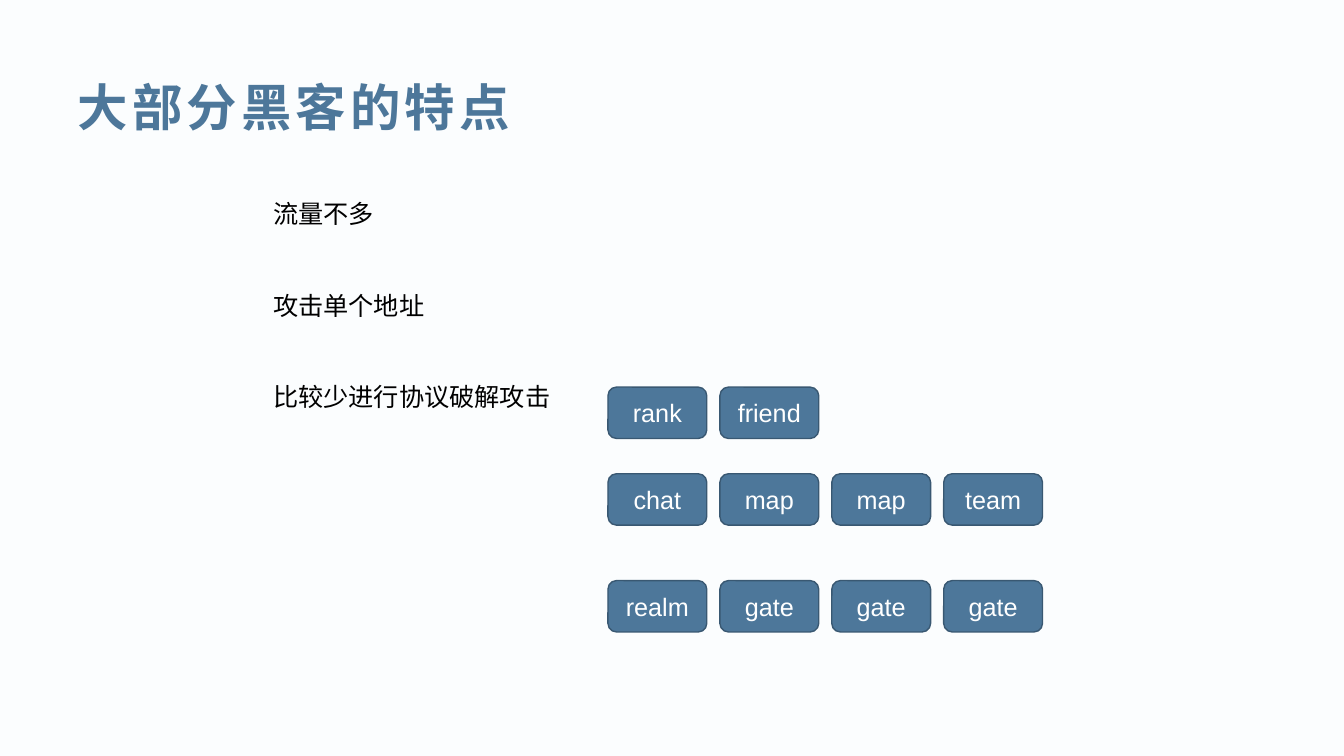
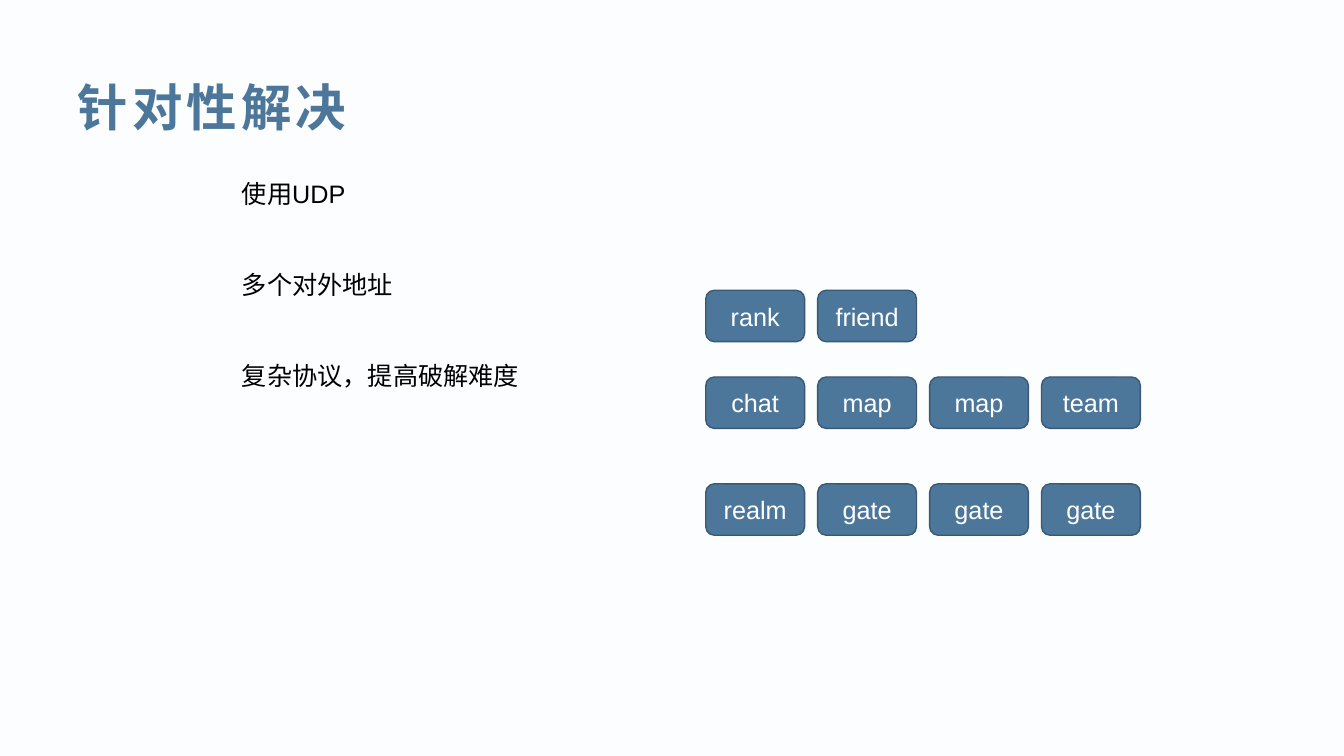
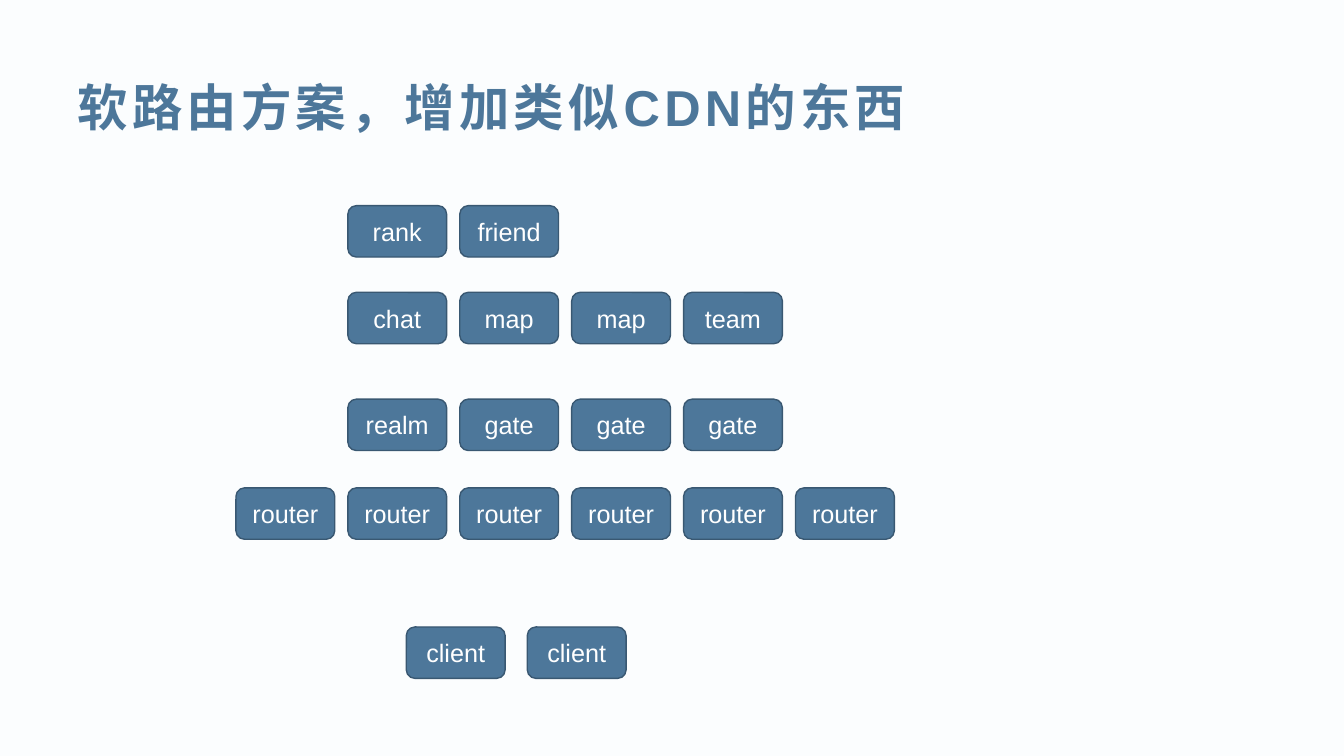
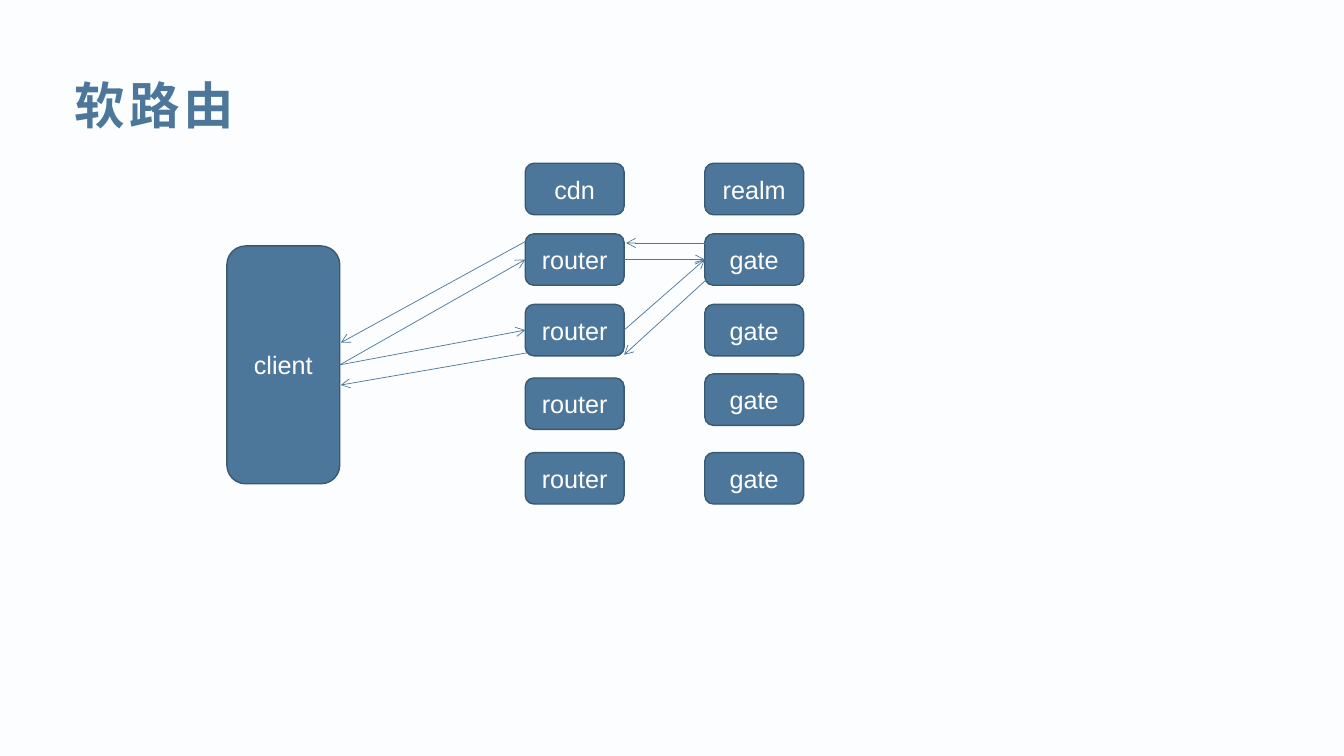
from pptx import Presentation
from pptx.dml.color import RGBColor
from pptx.enum.shapes import MSO_CONNECTOR, MSO_SHAPE
from pptx.enum.text import MSO_ANCHOR, PP_ALIGN
from pptx.oxml.ns import qn
from pptx.util import Inches, Pt
from lxml.etree import SubElement

# Shared colours, type styles and grid (inches)
BACKGROUND = RGBColor(0xFB, 0xFD, 0xFE)
BLUE = RGBColor(0x4D, 0x77, 0x9A)
DARK_BLUE = RGBColor(0x39, 0x58, 0x72)
WHITE = RGBColor(0xFF, 0xFF, 0xFF)
BLACK = RGBColor(0x00, 0x00, 0x00)
TITLE = {"name": "Arial", "size": Pt(36), "bold": True}
BODY = {"name": "Arial", "size": Pt(18)}
BOX_W, BOX_H = 0.98, 0.51
COLUMN = 1.11
LINE = 21.7

prs = Presentation()
prs.slide_width, prs.slide_height = Inches(13.33), Inches(7.5)
background = prs.slide_master.background.fill
background.solid()
background.fore_color.rgb = BACKGROUND


def add_run(paragraph, text, style, color):
    run = paragraph.add_run()
    run.text = text
    for attribute, value in style.items():
        setattr(run.font, attribute, value)
    run.font.color.rgb = color
    return run


def add_node(shapes, label, left, top, width=BOX_W, height=BOX_H):
    node = shapes.add_shape(MSO_SHAPE.ROUNDED_RECTANGLE, Inches(left), Inches(top),
                            Inches(width), Inches(height))
    node.shadow.inherit = False
    node.fill.solid()
    node.fill.fore_color.rgb = BLUE
    node.line.color.rgb = DARK_BLUE
    node.line.width = Pt(1)
    node.text_frame.vertical_anchor = MSO_ANCHOR.MIDDLE
    paragraph = node.text_frame.paragraphs[0]
    paragraph.alignment = PP_ALIGN.CENTER
    add_run(paragraph, label, BODY, WHITE)
    return node


# Slides with their titles
slides = []
for title, left, top in [
    ("大部分黑客的特点", 0.67, 0.67),
    ("针对性解决", 0.67, 0.67),
    ("软路由方案，增加类似CDN的东西", 0.67, 0.67),
    ("软路由", 0.64, 0.65),
]:
    slide = prs.slides.add_slide(prs.slide_layouts[6])
    heading = slide.shapes.add_textbox(Inches(left), Inches(top), Inches(12.28), Inches(0.77))
    frame = heading.text_frame
    frame.word_wrap = True
    frame.vertical_anchor = MSO_ANCHOR.MIDDLE
    run = add_run(frame.paragraphs[0], title, TITLE, BLUE)
    run.font._element.set("spc", "300")
    slides.append(slide)
traits, remedies, cdn_plan, soft_router = slides

# Server cluster on the first three slides
CLUSTER_ROWS = [
    (0, ["rank", "friend"]),
    (0.86, ["chat", "map", "map", "team"]),
    (1.92, ["realm", "gate", "gate", "gate"]),
]
for slide, left, top in [(traits, 6.03, 3.84), (remedies, 7, 2.88), (cdn_plan, 3.45, 2.04)]:
    cluster = slide.shapes.add_group_shape()
    for offset, servers in CLUSTER_ROWS:
        for column, server in enumerate(servers):
            add_node(cluster.shapes, server, left + column * COLUMN, top + offset)

# Points on the first two slides, two lines apart
for slide, left, top, width, height, points in [
    (traits, 2.61, 1.92, 5.51, 2.22, ["流量不多", "攻击单个地址", "比较少进行协议破解攻击"]),
    (remedies, 2.3, 1.72, 6.49, 2.83, ["使用UDP", "多个对外地址", "复杂协议，提高破解难度"]),
]:
    frame = slide.shapes.add_textbox(Inches(left), Inches(top),
                                     Inches(width), Inches(height)).text_frame
    frame.word_wrap = True
    for index, point in enumerate(points):
        paragraph = frame.add_paragraph() if index else frame.paragraphs[0]
        paragraph.line_spacing = Pt(LINE)
        paragraph.space_before = Pt(2 * LINE if index else 0)
        add_run(paragraph, point, BODY, BLACK)

# Router layer and clients below the cluster
for column in range(6):
    add_node(cdn_plan.shapes, "router", 2.34 + column * COLUMN, 4.84)
for column in range(2):
    add_node(cdn_plan.shapes, "client", 4.03 + column * 1.2, 6.22)

# Soft router: client, router column and gate column
client = add_node(soft_router.shapes, "client", 2.25, 2.44, 1.12, 2.36)
routers = [
    add_node(soft_router.shapes, label, 5.21, top)
    for label, top in zip(["cdn"] + ["router"] * 4, [1.62, 2.32, 3.02, 3.75, 4.49])
]
gates = [
    add_node(soft_router.shapes, label, 6.99, top)
    for label, top in zip(["realm"] + ["gate"] * 4, [1.62, 2.32, 3.02, 3.71, 4.49])
]

# Requests join side middles; replies run beside them
arrows = []
for sender, receiver in [(client, routers[1]), (routers[1], gates[1]),
                         (client, routers[2]), (routers[2], gates[1])]:
    request = soft_router.shapes.add_connector(MSO_CONNECTOR.STRAIGHT, 0, 0, 0, 0)
    request.begin_connect(sender, 3)
    request.end_connect(receiver, 1)
    arrows.append(request)
for reply in [(7.01, 2.41, 6.21, 2.41), (5.24, 2.38, 3.38, 3.4),
              (7, 2.78, 6.19, 3.52), (5.23, 3.5, 3.38, 3.82)]:
    arrows.append(soft_router.shapes.add_connector(
        MSO_CONNECTOR.STRAIGHT, *[Inches(value) for value in reply]))
for arrow in arrows:
    arrow.line.color.rgb = BLUE
    arrow.line.width = Pt(0.5)
    SubElement(arrow.line._get_or_add_ln(), qn("a:tailEnd"), type="arrow")
    SubElement(arrow._element.spPr, qn("a:effectLst"))

prs.save("out.pptx")
